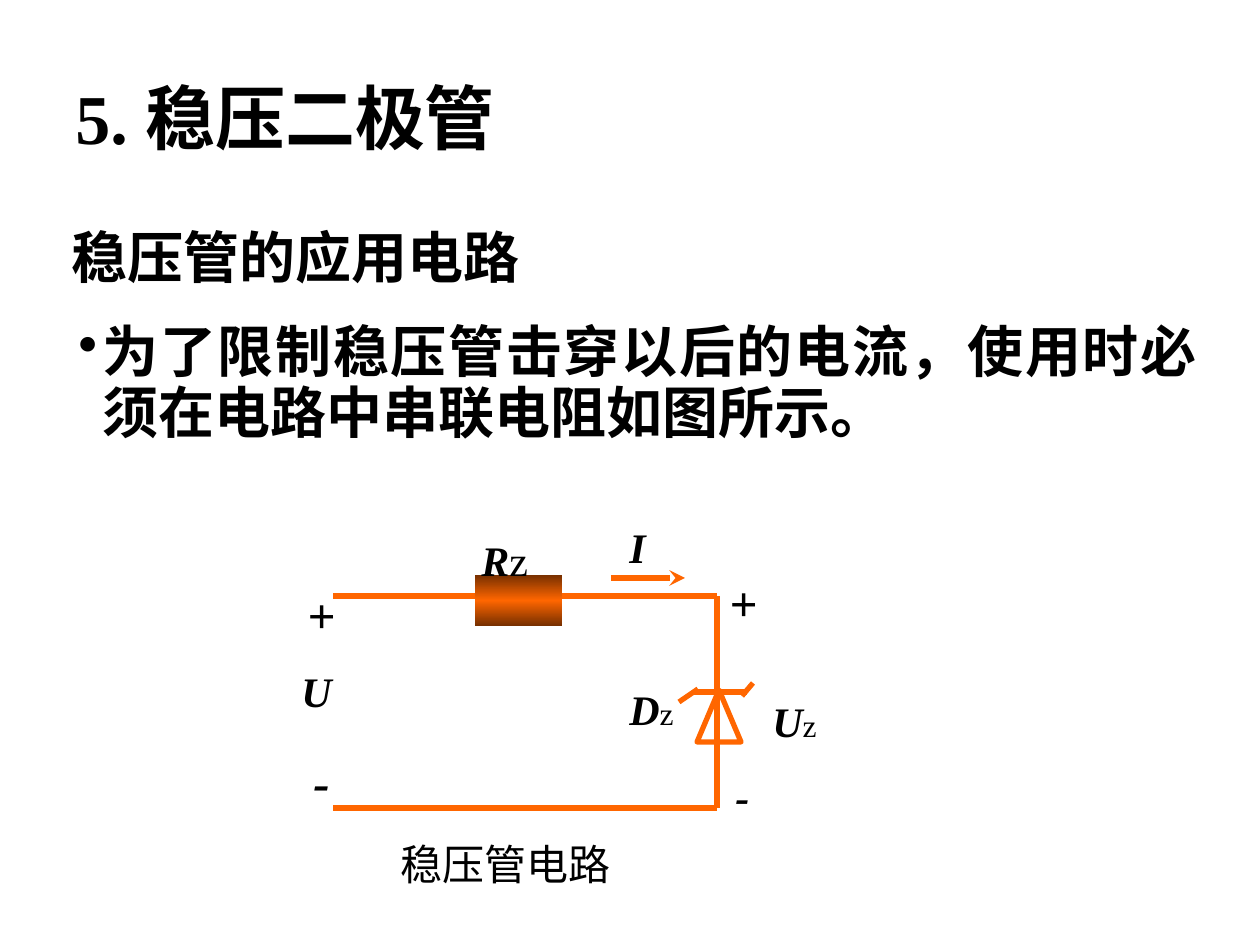
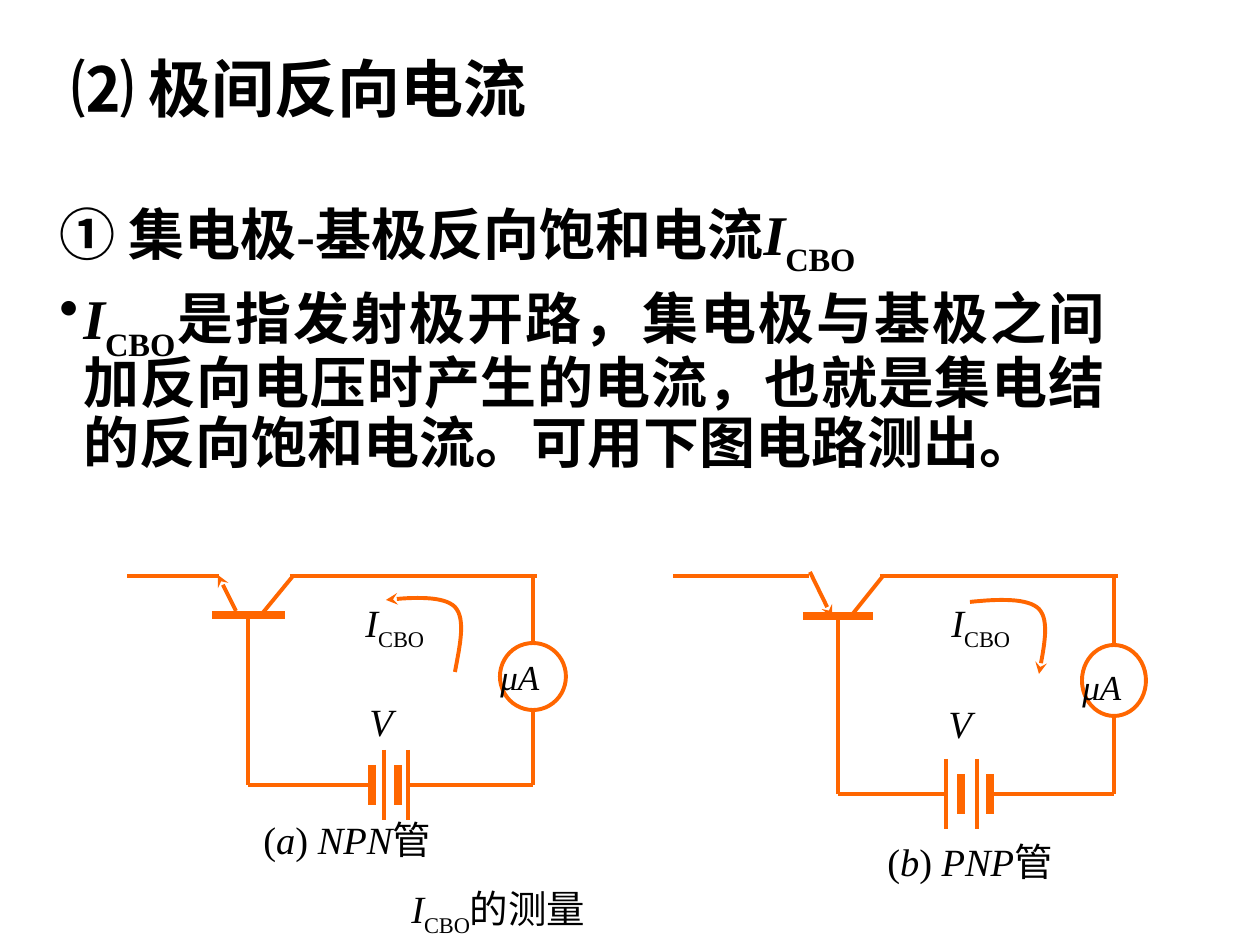
import lxml.etree
import pptx
import pptx.dml.color
import pptx.enum.shapes
import pptx.enum.text
import pptx.oxml.ns
import pptx.util

PX = 914400 / 126
INK = {"text": "000000", "wire": "FF6600", "shade": "762F00", "paper": "FFFFFF"}
SONG = "Noto Sans CJK SC"
SHAPE = pptx.enum.shapes.MSO_SHAPE
ALIGN = pptx.enum.text.PP_ALIGN
MID = pptx.enum.text.MSO_ANCHOR.MIDDLE
ROMAN = {"name": "Times New Roman", "size": 22, "bold": False, "italic": False}
SLANT = {**ROMAN, "italic": True}
STRONG = {**ROMAN, "size": 32, "bold": True}
HEAVY = {**STRONG, "italic": True}
SUB = {**ROMAN, "base": -25}
ICBO = [("I", SLANT), ("CBO", SUB)]
THIN, THICK = 2.25, 4.5


def emu(num):
    """Turn px into EMU."""
    return round(num * PX)


def rgb(key):
    """Look up a colour by its name."""
    return pptx.dml.color.RGBColor.from_string(INK[key])


def node(top, tag, **atts):
    """Append a drawing element to a parent."""
    return lxml.etree.SubElement(top, pptx.oxml.ns.qn("a:" + tag), atts)


def style(run, form):
    """Apply a dict of format values to a run."""
    run.font.color.rgb = rgb("text")
    for key, val in form.items():
        if key == "base":
            run.font._element.set("baseline", str(val * 1000))
        else:
            setattr(run.font, key, pptx.util.Pt(val) if key == "size" else val)
    node(run.font._element, "ea", typeface=SONG)


def hang(para, mark):
    """Give a paragraph a hanging indent and, if wanted, a bullet."""
    props = para._p.get_or_add_pPr()
    props.set("marL", str(emu(24)))
    props.set("indent", str(-emu(24)))
    if mark:
        node(props, "buChar", char="•")


def text(page, box, paras, align=ALIGN.LEFT, anchor=None, lead=None, marks=None):
    """Place a wrapped text box holding paragraphs of styled runs."""
    frame = page.shapes.add_textbox(*map(emu, box)).text_frame
    frame.word_wrap = True
    if anchor is not None:
        frame.vertical_anchor = anchor
    for num, runs in enumerate(paras):
        para = frame.add_paragraph() if num else frame.paragraphs[0]
        if marks:
            hang(para, marks[num])
        para.alignment = align
        if lead:
            para.line_spacing = lead
        if num:
            para.space_before = pptx.util.Pt(7.5)
        for words, form in runs:
            run = para.add_run()
            run.text = words
            style(run, form)


def title(page, box, words, form, lead=0.9):
    """Place a heading centred in the height of its box."""
    text(page, box, [[(words, form)]], anchor=MID, lead=lead)


def body(page, box, paras, marks):
    """Place justified body text with hanging indents."""
    text(page, box, paras, ALIGN.JUSTIFY, lead=0.9, marks=marks)


def stroke(shape, width, end=None):
    """Draw a shape's line in the wire colour with an optional arrowhead."""
    shape.line.color.rgb = rgb("wire")
    shape.line.width = pptx.util.Pt(width)
    if end:
        node(shape.line._get_or_add_ln(), end, type="stealth")


def wire(page, org, ends, width=THIN, end=None):
    """Draw a straight wire between two points measured from an origin."""
    x, y = org
    x1, y1, x2, y2 = ends
    line = page.shapes.add_connector(
        pptx.enum.shapes.MSO_CONNECTOR.STRAIGHT,
        emu(x + x1), emu(y + y1), emu(x + x2), emu(y + y2))
    stroke(line, width, end)
    node(line._element.spPr, "effectLst")


def part(page, org, kind, box, width=None, fill=None):
    """Place a preset shape measured from an origin."""
    x, y, w, h = box
    shape = page.shapes.add_shape(
        kind, emu(org[0] + x), emu(org[1] + y), emu(w), emu(h))
    shape.shadow.inherit = False
    if fill:
        shape.fill.solid()
        shape.fill.fore_color.rgb = rgb(fill)
    else:
        shape.fill.background()
    if width:
        stroke(shape, width)
    else:
        shape.line.fill.background()
    return shape


def glow(shape):
    """Fill a shape with a vertical gradient, bright in the middle."""
    shape.fill.gradient()
    shape.fill.gradient_angle = 90
    stops = shape._element.spPr.find(".//" + pptx.oxml.ns.qn("a:gsLst"))
    for stop in list(stops):
        stops.remove(stop)
    for pos, key in ((0, "shade"), (50, "wire"), (100, "shade")):
        node(node(stops, "gs", pos=str(pos * 1000)), "srgbClr", val=INK[key])


def bend(page, org, knots, end):
    """Draw a chain of cubic curves as one open outline."""
    pts = [knots[0]]
    for at in range(0, len(knots) - 1, 3):
        for step in range(1, 17):
            t = step / 16
            mix = ((1 - t) ** 3, 3 * t * (1 - t) ** 2, 3 * t * t * (1 - t), t ** 3)
            quad = knots[at:at + 4]
            pts.append([sum(m * k[i] for m, k in zip(mix, quad)) for i in (0, 1)])
    pts = [(emu(org[0] + x), emu(org[1] + y)) for x, y in pts]
    pen = page.shapes.build_freeform(*pts[0])
    pen.add_line_segments(pts[1:], close=False)
    shape = pen.convert_to_shape()
    shape.shadow.inherit = False
    shape.fill.background()
    stroke(shape, THIN, end)


def zener(page, org):
    """Draw the regulator circuit with its labels."""
    glow(part(page, org, SHAPE.RECTANGLE, (186, 60, 87, 51)))
    part(page, org, SHAPE.ISOSCELES_TRIANGLE, (408, 175, 44, 52), 3)
    for ends in ((273, 81, 428, 81), (186, 81, 44, 81), (404, 177, 458, 177),
                 (428, 81, 428, 293), (453, 181, 464, 168),
                 (409, 174, 390, 187), (428, 293, 44, 293)):
        wire(page, org, ends, 3)
    wire(page, org, (322, 63, 396, 63), 3, "tailEnd")
    for x, y, sign, size, sub in (
            (180, 13, "R", 24, 24), (471, 174, "U", 24, 18),
            (328, 162, "D", 24, 18), (328, 0, "I", 24, 0),
            (428, 51, "+", 28, 0), (434, 249, "-", 24, 0),
            (0, 144, "U", 24, 0), (6, 63, "+", 28, 0), (12, 230, "-", 28, 0)):
        runs = [(sign, {**HEAVY, "size": size})]
        if sub:
            runs.append(("z", {**ROMAN, "size": sub}))
        text(page, (org[0] + x, org[1] + y, 87, 64), [runs])
    text(page, (org[0] + 99, org[1] + 317, 316, 64),
         [[("稳压管电路", {**ROMAN, "name": "Calibri", "size": 24})]])


def meter(page, org, kit):
    """Draw a transistor test circuit from its key positions."""
    left, right, high = kit["bar"]
    foot, col, end, low = kit["foot"], kit["col"], kit["end"], kit["low"]
    first, last = kit["cell"]
    x, y, w, h = kit["dial"]
    wire(page, org, (left, high, right, high), THICK)
    wire(page, org, kit["emit"], THIN, kit["tip"])
    for ends in ((col, high, col + 32, 0), (col + 29, 0, end + 4, 0),
                 (kit["lead"], 0, 0, 0), (foot, high, foot, low),
                 (foot, low, first, low), (last, low, end, low)):
        wire(page, org, ends)
    for at, wide in kit["plates"]:
        half = 20 if wide else 35
        wire(page, org, (at, low - half, at, low + half), THICK if wide else THIN)
    part(page, org, SHAPE.OVAL, kit["dial"], THIN, "paper")
    wire(page, org, (end, y + h, end, low))
    wire(page, org, (end, 0, end, y))
    dx, dy = kit["shift"]
    arc = ((328, 96), (333, 69), (339, 43), (328, 31), (317, 20), (288, 21), (259, 24))
    bend(page, org, [(a + dx, b + dy) for a, b in arc], kit["arrow"])
    name = [("(", ROMAN), (kit["mark"], SLANT), (") ", ROMAN),
            (kit["type"], SLANT), ("管", ROMAN)]
    for key, wide, runs in (("flow", 118, ICBO), ("volt", 104, [("V", SLANT)]),
                            ("amp", 90, [("μA", {**SLANT, "size": 20})]),
                            ("name", 302, name)):
        a, b = kit[key]
        text(page, (org[0] + a, org[1] + b, wide, 60), [runs],
             kit["align"] if key == "name" else ALIGN.JUSTIFY)


NPN = {"bar": (85, 158, 39), "foot": 121, "col": 134, "end": 406, "low": 209,
       "lead": 92, "emit": (109, 35, 91, -1), "tip": "tailEnd", "cell": (248, 281),
       "plates": ((245, 1), (257, 0), (271, 1), (281, 0)),
       "dial": (373, 67, 66, 67), "shift": (0, 0), "arrow": "tailEnd",
       "flow": (226, 17), "volt": (230, 116), "amp": (361, 73),
       "name": (124, 234), "align": ALIGN.JUSTIFY, "mark": "a", "type": "NPN"}
PNP = {"bar": (130, 200, 40), "foot": 165, "col": 178, "end": 441, "low": 218,
       "lead": 136, "emit": (159, 41, 137, -4), "tip": "headEnd", "cell": (273, 321),
       "plates": ((273, 0), (288, 1), (304, 0), (317, 1)),
       "dial": (409, 69, 64, 71), "shift": (38, 2), "arrow": "headEnd",
       "flow": (266, 17), "volt": (263, 118), "amp": (397, 83),
       "name": (146, 256), "align": ALIGN.CENTER, "mark": "b", "type": "PNP"}


def diode(page):
    """Build the slide on the regulator diode."""
    song = {**STRONG, "name": SONG}
    title(page, (59, 181, 1134, 158), "稳压管的应用电路", song)
    body(page, (66, 318, 1144, 180),
         [[("为了限制稳压管击穿以后的电流，使用时必须在电路中串联电阻如图所示。", song)]], [True])
    zener(page, (289, 515))
    title(page, (63, 38, 1134, 158), "5. 稳压二极管", {**STRONG, "size": 40}, None)


def leak(page):
    """Build the slide on the reverse current between electrodes."""
    sign = [("I", HEAVY), ("CBO", {**STRONG, "base": -30})]
    title(page, (59, 1, 1086, 183), "⑵ 极间反向电流", {**STRONG, "size": 36})
    body(page, (47, 193, 1071, 416), [
        [("① 集电极-基极反向饱和电流", STRONG)] + sign,
        sign + [("是指发射极开路，集电极与基极之间加反向电压时产生的电流，"
                 "也就是集电结的反向饱和电流。可用下图电路测出。", STRONG)],
    ], [False, True])
    meter(page, (673, 576), PNP)
    meter(page, (127, 576), NPN)
    text(page, (399, 879, 481, 60), [ICBO + [("的测量", ROMAN)]], ALIGN.JUSTIFY)


def main():
    """Build and save both slides."""
    deck = pptx.Presentation()
    deck.slide_width, deck.slide_height = emu(1260), emu(945)
    for make in (diode, leak):
        make(deck.slides.add_slide(deck.slide_layouts[6]))
    deck.save("out.pptx")


if __name__ == "__main__":
    main()
